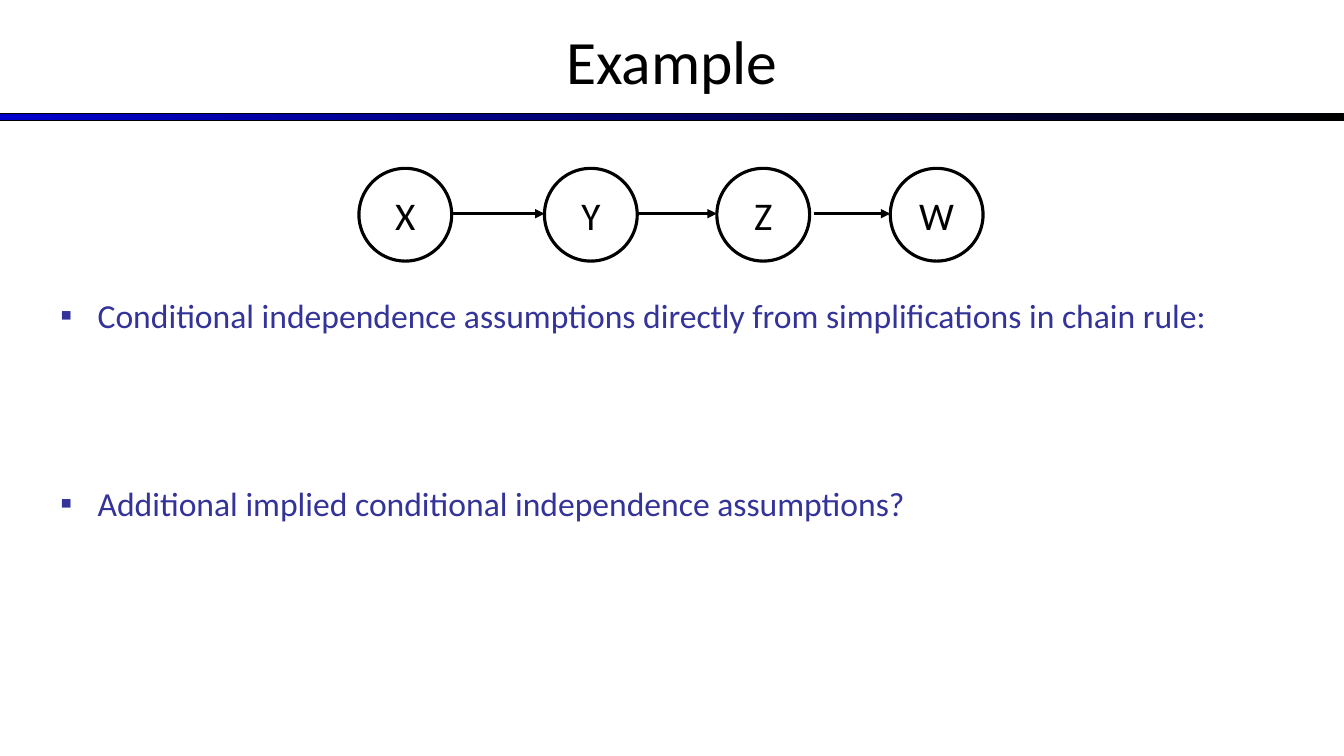
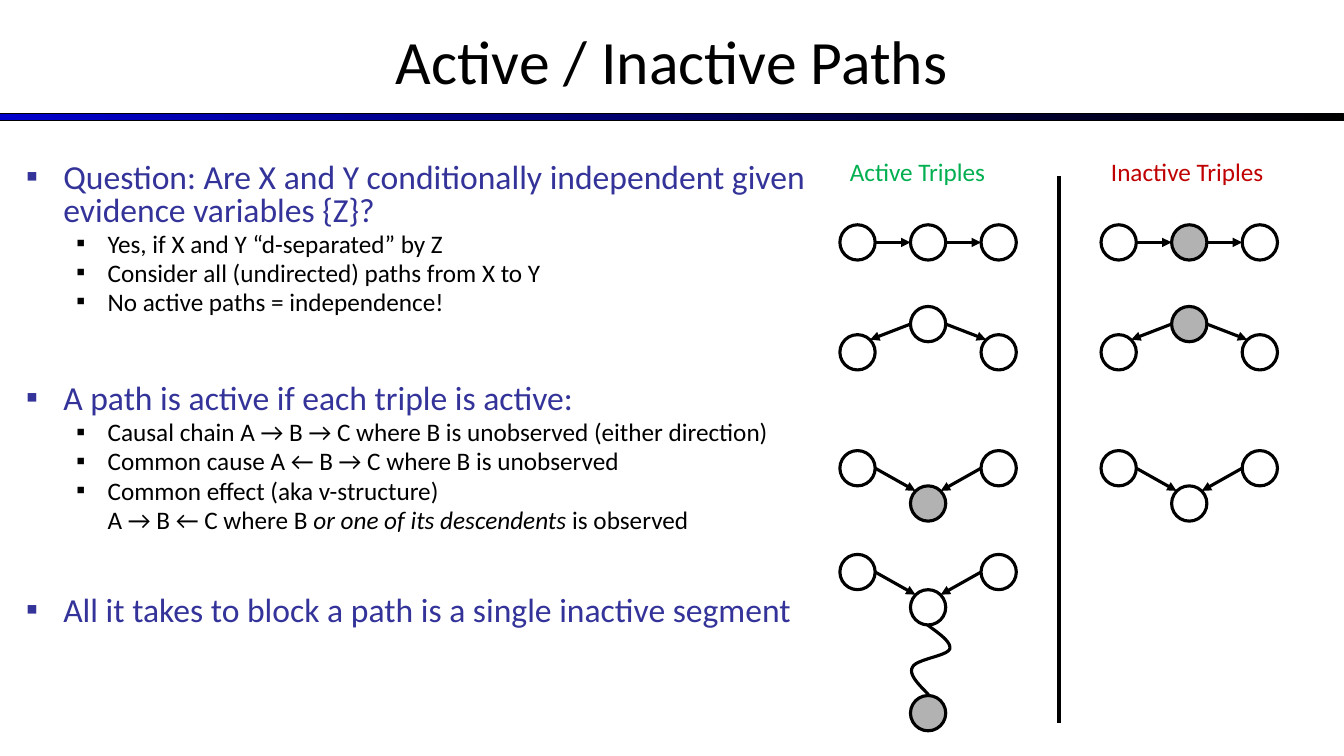
"""Build two slides on conditional independence in Bayes nets."""
from lxml import etree
from pptx import Presentation
from pptx import util as u
from pptx.dml import color
from pptx.enum import shapes, text
from pptx.oxml import ns

COLORS = {
    "black": "000000", "white": "FFFFFF", "blue": "0000CC", "indigo": "333399",
    "observed": "B2B2B2", "active": "00B050", "inactive": "C00000",
}
FONT = "Calibri"
STROKE = 2.25
NODE = 0.35
STEP = 0.7
TIP = 0.05
LEVELS = {
    0: dict(size=24, color="indigo", margin=0.37, hang=0.37, before=4.8),
    1: dict(size=18, color="black", margin=0.81, hang=0.31, before=3.6),
}


def rgb(name):
    return color.RGBColor.from_string(COLORS[name])


def bezier(start, first, second, end, steps=12):
    for i in range(1, steps + 1):
        t = i / steps
        weights = ((1 - t) ** 3, 3 * t * (1 - t) ** 2, 3 * t * t * (1 - t), t ** 3)
        points = (start, first, second, end)
        yield tuple(sum(w * p[axis] for w, p in zip(weights, points)) for axis in (0, 1))


class Slides:
    def __init__(self):
        self.deck = Presentation()
        self.deck.slide_width = u.Inches(13.33)
        self.deck.slide_height = u.Inches(7.5)
        self.page = None

    def new_page(self, title):
        self.page = self.deck.slides.add_slide(self.deck.slide_layouts[6])
        band = self.shape(shapes.MSO_SHAPE.RECTANGLE, 0, 1.13, 13.33, 0.07, 0.75)
        band.fill.gradient()
        band.fill.gradient_angle = 0
        for stop, name in zip(band.fill.gradient_stops, ("blue", "black")):
            stop.color.rgb = rgb(name)
        frame = self.frame(0, -0.03, 13.33, 1.25)
        frame.vertical_anchor = text.MSO_ANCHOR.MIDDLE
        frame.paragraphs[0].alignment = text.PP_ALIGN.CENTER
        self.span(frame.paragraphs[0], title, 44, "black")

    def shape(self, kind, left, top, width, height, stroke):
        box = self.page.shapes.add_shape(kind, *map(u.Inches, (left, top, width, height)))
        box.shadow.inherit = False
        box.line.color.rgb = rgb("black")
        box.line.width = u.Pt(stroke)
        return box

    def frame(self, left, top, width, height):
        box = self.page.shapes.add_textbox(*map(u.Inches, (left, top, width, height)))
        box.text_frame.word_wrap = True
        return box.text_frame

    def span(self, para, words, size, name, italic=False):
        span = para.add_run()
        span.text = words
        span.font.name = FONT
        span.font.size = u.Pt(size)
        span.font.color.rgb = rgb(name)
        if italic:
            span.font.italic = True

    def label(self, left, top, width, words, name):
        self.span(self.frame(left, top, width, 0.4).paragraphs[0], words, 18, name)

    def body(self, left, top, width, height, items, spacing=1.0):
        frame = self.frame(left, top, width, height)
        for index, (level, spans, options) in enumerate(items):
            para = frame.add_paragraph() if index else frame.paragraphs[0]
            style = {**LEVELS[level], "bullet": True, **options}
            para.line_spacing = spacing
            para.space_before = u.Pt(style["before"] if index else 0)
            self.indent(para, style)
            for position, words in enumerate(spans):
                self.span(para, words, style["size"], style["color"], position % 2 == 1)

    def indent(self, para, style):
        props = para._p.get_or_add_pPr()
        props.set("marL", str(u.Inches(style["margin"])))
        if not style["bullet"]:
            props.set("indent", "0")
            return
        props.set("indent", str(-u.Inches(style["hang"])))
        tint = etree.SubElement(props, ns.qn("a:buClr"))
        etree.SubElement(tint, ns.qn("a:srgbClr"), val=COLORS[style["color"]])
        etree.SubElement(props, ns.qn("a:buFont"), typeface=FONT)
        etree.SubElement(props, ns.qn("a:buChar"), char="▪")

    def node(self, left, top, size=NODE, letter=None, fill="white"):
        circle = self.shape(shapes.MSO_SHAPE.OVAL, left, top, size, size, STROKE)
        circle.fill.solid()
        circle.fill.fore_color.rgb = rgb(fill)
        if letter:
            frame = circle.text_frame
            frame.vertical_anchor = text.MSO_ANCHOR.MIDDLE
            frame.paragraphs[0].alignment = text.PP_ALIGN.CENTER
            self.span(frame.paragraphs[0], letter, 28, "black")

    def line(self, start, end, stroke=STROKE, arrow=True):
        line = self.page.shapes.add_connector(
            shapes.MSO_CONNECTOR.STRAIGHT, *map(u.Inches, (*start, *end)))
        line.line.color.rgb = rgb("black")
        line.line.width = u.Pt(stroke)
        props = line._element.spPr
        if arrow:
            etree.SubElement(props.find(ns.qn("a:ln")), ns.qn("a:tailEnd"), type="triangle")
        etree.SubElement(props, ns.qn("a:effectLst"))

    def triple(self, kind, left, side, middle, fill="white"):
        center, right = left + STEP, left + 2 * STEP
        self.node(left, side)
        self.node(center, middle, fill=fill)
        self.node(right, side)
        side_y, middle_y = side + NODE / 2, middle + NODE / 2
        if kind == "chain":
            self.line((left + NODE, side_y), (center, middle_y))
            self.line((center + NODE, middle_y), (right, side_y))
        elif kind == "fork":
            self.line((center, middle_y), (left + NODE - TIP, side + TIP))
            self.line((center + NODE, middle_y), (right + TIP, side + TIP))
        else:
            self.line((left + NODE, side_y), (center + TIP, middle + TIP))
            self.line((right, side_y), (center + NODE - TIP, middle + TIP))

    def curve(self, start, segments):
        points = [start]
        for segment in segments:
            points.extend(bezier(points[-1], *segment))
        inches = [tuple(map(u.Inches, point)) for point in points]
        builder = self.page.shapes.build_freeform(*inches[0])
        builder.add_line_segments(inches[1:], close=False)
        path = builder.convert_to_shape()
        path.shadow.inherit = False
        path.fill.background()
        path.line.color.rgb = rgb("black")
        path.line.width = u.Pt(STROKE)


def example(slides):
    slides.new_page("Example")
    slides.body(0.5, 2.88, 12, 3.7, [
        (0, ["Conditional independence assumptions directly from simplifications in chain rule:"], {}),
        (0, ["Additional implied conditional independence assumptions?"], {"before": 105}),
    ])
    for letter, left in zip("XYZW", (3.56, 5.4, 7.11, 8.83)):
        slides.node(left, 1.67, 0.92, letter)
    for start, end in ((4.48, 5.4), (6.31, 7.11), (8.07, 8.83)):
        slides.line((start, 2.12), (end, 2.12))


def active_paths(slides):
    slides.new_page("Active / Inactive Paths")
    slides.body(0.16, 1.58, 8.26, 5.5, [
        (0, ["Question: Are X and Y conditionally independent given evidence variables {Z}?"], {}),
        (1, ["Yes, if X and Y “d-separated” by Z"], {}),
        (1, ["Consider all (undirected) paths from X to Y"], {}),
        (1, ["No active paths = independence!"], {}),
        (0, ["A path is active if each triple is active:"], {"before": 49}),
        (1, ["Causal chain A → B → C where B is unobserved (either direction)"], {}),
        (1, ["Common cause A ← B → C where B is unobserved"], {}),
        (1, ["Common effect (aka v-structure)"], {}),
        (1, ["A → B ← C where B ", "or one of its descendents", " is observed"], {"bullet": False}),
        (0, ["All it takes to block a path is a single inactive segment"], {"before": 44.5}),
    ], 0.8)
    active, inactive = 8.33, 10.92
    rows = (("chain", 2.23, 2.23), ("fork", 3.32, 3.04), ("collider", 4.47, 4.82))
    for kind, side, middle in rows:
        fills = ("white", "observed")
        if kind == "collider":
            fills = fills[::-1]
        for left, fill in zip((active, inactive), fills):
            slides.triple(kind, left, side, middle, fill)
    slides.triple("collider", active, 5.5, 5.85)
    slides.node(active + STEP, 6.9, fill="observed")
    slides.curve((9.2, 6.2), [
        ((9.32, 6.29), (9.44, 6.37), (9.42, 6.44)),
        ((9.39, 6.51), (9.08, 6.54), (9.05, 6.62)),
        ((9.01, 6.69), (9.11, 6.79), (9.21, 6.89)),
    ])
    slides.line((10.5, 1.75), (10.5, 7.17), 3, arrow=False)
    slides.label(active, 1.5, 1.75, "Active Triples", "active")
    slides.label(inactive, 1.5, 1.92, "Inactive Triples", "inactive")


def main():
    slides = Slides()
    example(slides)
    active_paths(slides)
    slides.deck.save("out.pptx")


if __name__ == "__main__":
    main()
